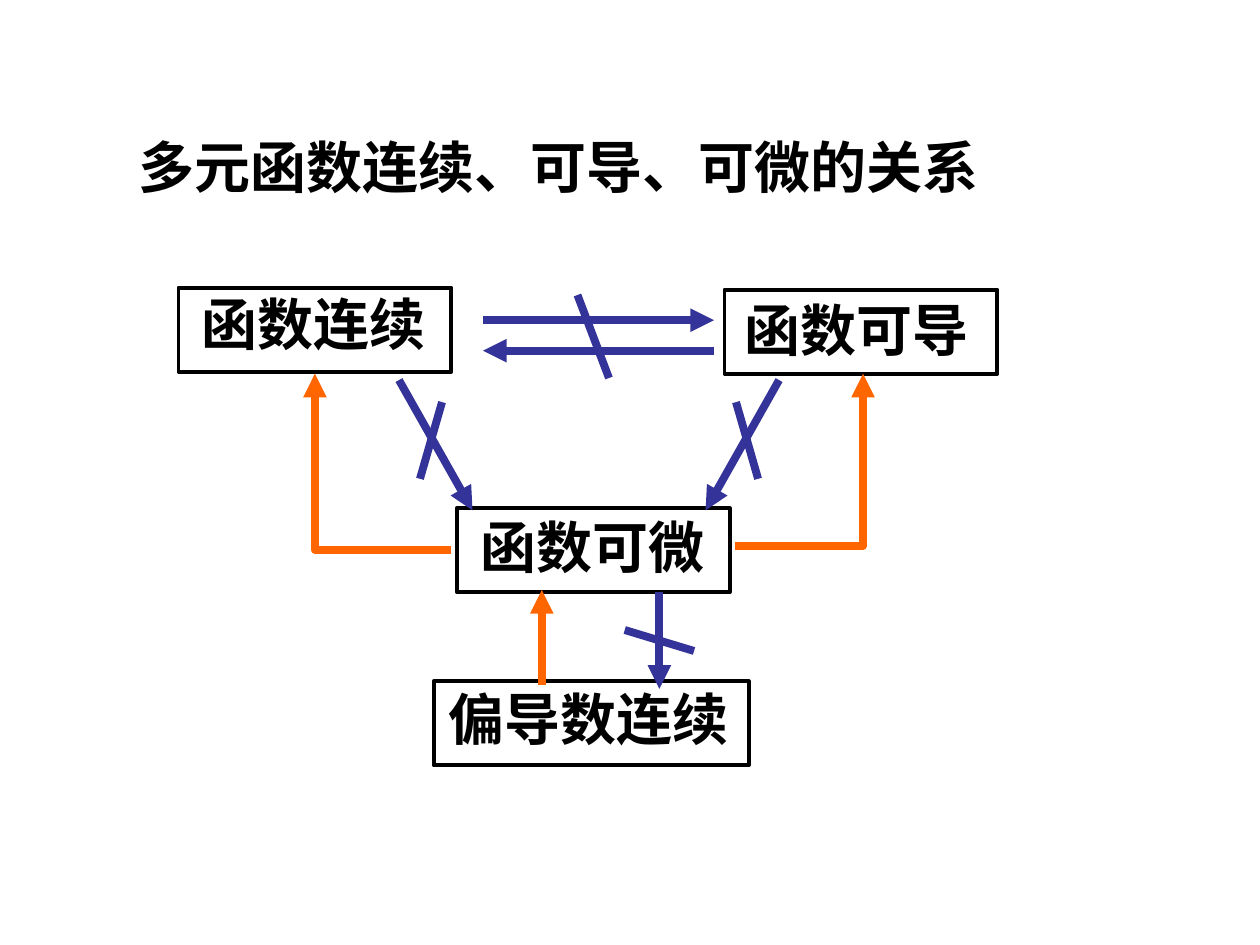
import pptx
import pptx.util
from lxml import etree
from pptx.dml.color import RGBColor
from pptx.enum.shapes import MSO_CONNECTOR, MSO_SHAPE
from pptx.enum.text import MSO_ANCHOR, PP_ALIGN
from pptx.oxml.ns import qn

BLACK = RGBColor(0x00, 0x00, 0x00)
BLUE = RGBColor(0x33, 0x33, 0x99)
ORANGE = RGBColor(0xFF, 0x66, 0x00)
COLS = 120
MIRROR = 112.2  # columns x and MIRROR - x lie opposite each other


class Diagram:
    """Places elements on a grid of 120 columns by 90 rows."""

    font = "Times New Roman"
    size = pptx.util.Pt(32)
    border = pptx.util.Pt(2.25)
    stroke = pptx.util.Pt(4.5)

    def __init__(self, prs):
        self.slide = prs.slides.add_slide(prs.slide_layouts[6])
        self.cell = prs.slide_width / COLS

    def grid(self, *lengths):
        return [round(n * self.cell) for n in lengths]

    def text(self, words, x, y, w, h=7.7):
        sp = self.slide.shapes.add_textbox(*self.grid(x, y, w, h))
        tf = sp.text_frame
        tf.word_wrap = True
        tf.vertical_anchor = MSO_ANCHOR.TOP
        p = tf.paragraphs[0]
        p.text = words
        p.alignment = PP_ALIGN.LEFT
        p.font.name, p.font.size, p.font.bold = self.font, self.size, True
        p.font.color.rgb = BLACK

    def box(self, x, y, w, h=8):
        sp = self.slide.shapes.add_shape(MSO_SHAPE.RECTANGLE, *self.grid(x, y, w, h))
        sp.shadow.inherit = False
        sp.fill.background()
        sp.line.color.rgb = BLACK
        sp.line.width = self.border

    def line(self, start, end, color=BLUE, arrow=False, kind=MSO_CONNECTOR.STRAIGHT):
        sp = self.slide.shapes.add_connector(kind, *self.grid(*start, *end))
        sp.line.color.rgb = color
        sp.line.width = self.stroke
        if arrow:
            ln = sp.line._get_or_add_ln()
            etree.SubElement(ln, qn("a:tailEnd"), type="triangle")
        etree.SubElement(sp._element.spPr, qn("a:effectLst"))
        return sp

    def elbow(self, start, end):
        """Arrow that runs sideways first, then up, with a single bend."""
        sp = self.line(start, end, ORANGE, True, MSO_CONNECTOR.ELBOW)
        sp._element.spPr.find(qn("a:prstGeom")).set("prst", "bentConnector2")


def mirrored(point):
    return MIRROR - point[0], point[1]


def main():
    prs = pptx.Presentation()
    prs.slide_width = pptx.util.Inches(10)
    prs.slide_height = pptx.util.Inches(7.5)
    d = Diagram(prs)

    d.text("多元函数连续、可导、可微的关系", 12, 12, 98)

    # words, text (x, y, width), box (x, y, width)
    concepts = [
        ("函数可微", (44.6, 48.2, 30.2), (43.5, 48.4, 26)),
        ("函数连续", (18, 27, 32), (17, 27.4, 26)),
        ("偏导数连续", (41.5, 64.6, 32.4), (41.3, 64.9, 30)),
        ("函数可导", (69.7, 27.6, 30.2), (69, 27.6, 26)),
    ]
    for words, label, frame in concepts:
        d.text(words, *label)
        d.box(*frame)

    # Continuity and derivability: neither implies the other
    d.line((46, 30.5), (68, 30.5), arrow=True)
    d.line((68, 33.4), (46, 33.4), arrow=True)
    d.line((55, 28.1), (58, 36))

    # Neither one implies differentiability
    arrow = (38, 36.2), (45, 48.6)
    slash = (42.1, 38.3), (40, 45.6)
    for side in (tuple, mirrored):
        d.line(*map(side, arrow), arrow=True)
        d.line(*map(side, slash))

    # Differentiability implies both
    d.elbow((43, 52.4), (30, 35.6))
    d.elbow((70, 52), (82.2, 35.6))

    # Continuous partial derivatives imply differentiability, not conversely
    d.line((51.6, 65.2), (51.6, 56.2), ORANGE, arrow=True)
    d.line((62.8, 56.4), (62.8, 65.6), arrow=True)
    d.line((59.5, 60), (66.1, 62))

    prs.save("out.pptx")


if __name__ == "__main__":
    main()
